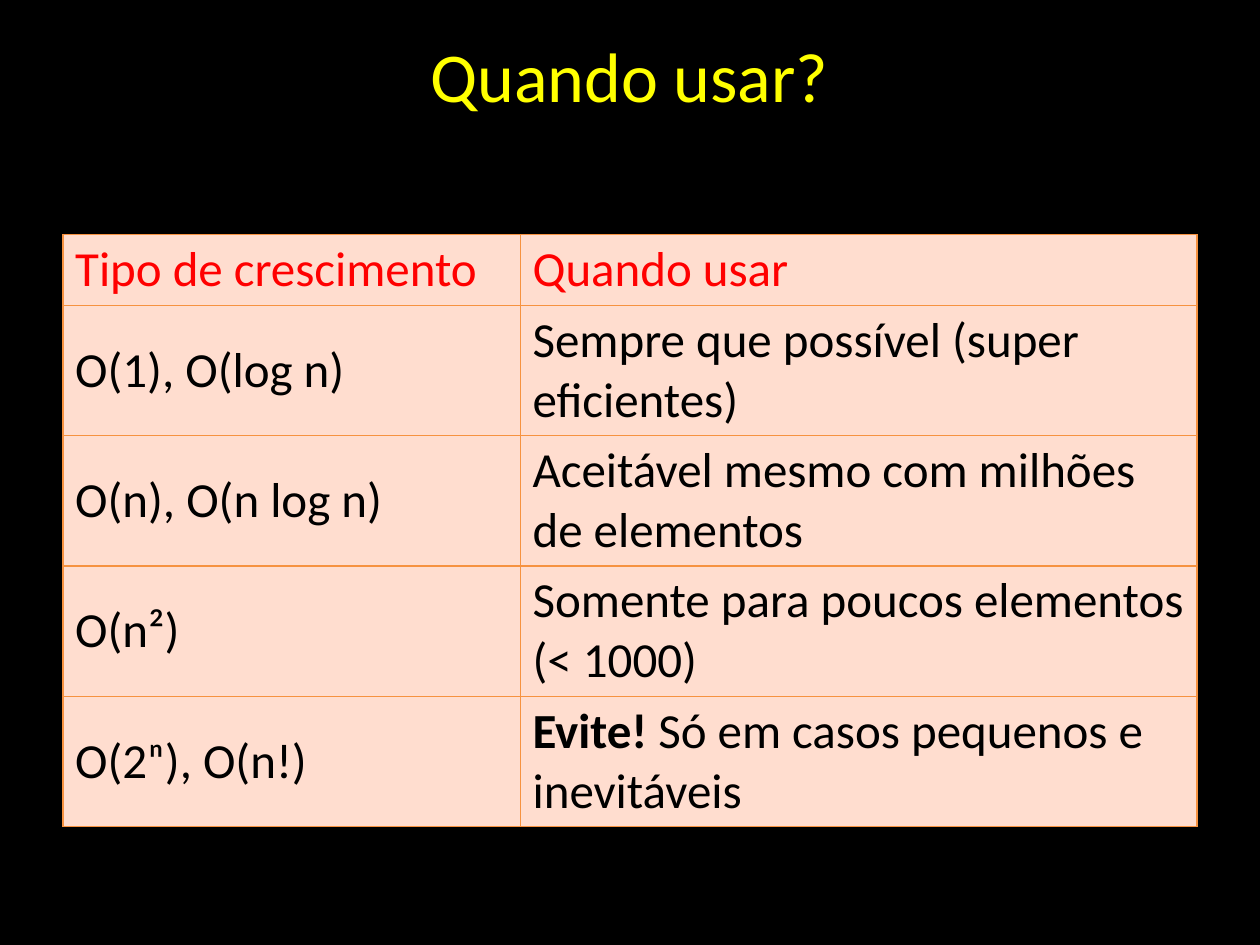
import pptx
import pptx.dml.color
import pptx.enum.text
import pptx.oxml
import pptx.oxml.ns
import pptx.util

Pt = pptx.util.Pt

FONT = "Calibri"
BLACK, YELLOW, RED = "000000", "FFFF00", "FF0000"
CELL_FILL, BORDER = "FFDDCF", "F69240"

HEADER = ("Tipo de crescimento", "Quando usar")
USES = (
    ("O(1), O(log n)", "Sempre que possível (super eficientes)"),
    ("O(n), O(n log n)", "Aceitável mesmo com milhões de elementos"),
    ("O(n²)", "Somente para poucos elementos (< 1000)"),
    ("O(2ⁿ), O(n!)", " Só em casos pequenos e inevitáveis"),
)
WARNING = "Evite!"
COLUMN_WIDTHS = (261.4, 386.6)
HEADER_HEIGHT, ROW_HEIGHT = 40.5, 74.5


def color(hex_string):
    return pptx.dml.color.RGBColor.from_string(hex_string)


def add_text(para, text, size=28, fill=BLACK, bold=False, align=None):
    para.alignment = align
    span = para.add_run()
    span.text = text
    span.font.name = FONT
    span.font.size = Pt(size)
    span.font.bold = bold
    span.font.color.rgb = color(fill)


def add_title(page, left, top, width, height):
    box = page.shapes.add_textbox(Pt(left), Pt(top), Pt(width), Pt(height))
    box.text_frame.word_wrap = True
    add_text(box.text_frame.paragraphs[0], "Quando usar?", size=40, fill=YELLOW,
             align=pptx.enum.text.PP_ALIGN.CENTER)


def format_cell(cell):
    """Set the fill, margins, anchor and the four borders."""
    cell.margin_left = cell.margin_right = Pt(7)
    cell.margin_top = cell.margin_bottom = Pt(3)
    cell.vertical_anchor = pptx.enum.text.MSO_ANCHOR.MIDDLE
    cell.fill.solid()
    cell.fill.fore_color.rgb = color(CELL_FILL)
    properties = cell._tc.get_or_add_tcPr()
    for index, side in enumerate(("lnL", "lnR", "lnT", "lnB")):
        line = pptx.oxml.parse_xml(
            f'<a:{side} {pptx.oxml.ns.nsdecls("a")} w="{Pt(0.75)}"><a:solidFill>'
            f'<a:srgbClr val="{BORDER}"/></a:solidFill></a:{side}>')
        properties.insert(index, line)


def add_usage_table(page, left, top):
    heights = [HEADER_HEIGHT] + [ROW_HEIGHT] * len(USES)
    frame = page.shapes.add_table(
        len(heights), len(COLUMN_WIDTHS), Pt(left), Pt(top),
        Pt(sum(COLUMN_WIDTHS)), Pt(sum(heights)))
    table = frame.table
    for column, width in zip(table.columns, COLUMN_WIDTHS):
        column.width = Pt(width)
    for row, height in zip(table.rows, heights):
        row.height = Pt(height)
    for row_index, texts in enumerate((HEADER, *USES)):
        for column_index, text in enumerate(texts):
            cell = table.cell(row_index, column_index)
            format_cell(cell)
            para = cell.text_frame.paragraphs[0]
            if row_index == len(USES) and column_index == 1:
                add_text(para, WARNING, bold=True)
            add_text(para, text, fill=BLACK if row_index else RED)


def main():
    deck = pptx.Presentation()
    deck.slide_width, deck.slide_height = Pt(720), Pt(540)
    page = deck.slides.add_slide(deck.slide_layouts[6])
    page.background.fill.solid()
    page.background.fill.fore_color.rgb = color(BLACK)
    add_title(page, 25.2, 15.1, 669, 55.4)
    add_usage_table(page, 36, 134)
    deck.save("out.pptx")


if __name__ == "__main__":
    main()
